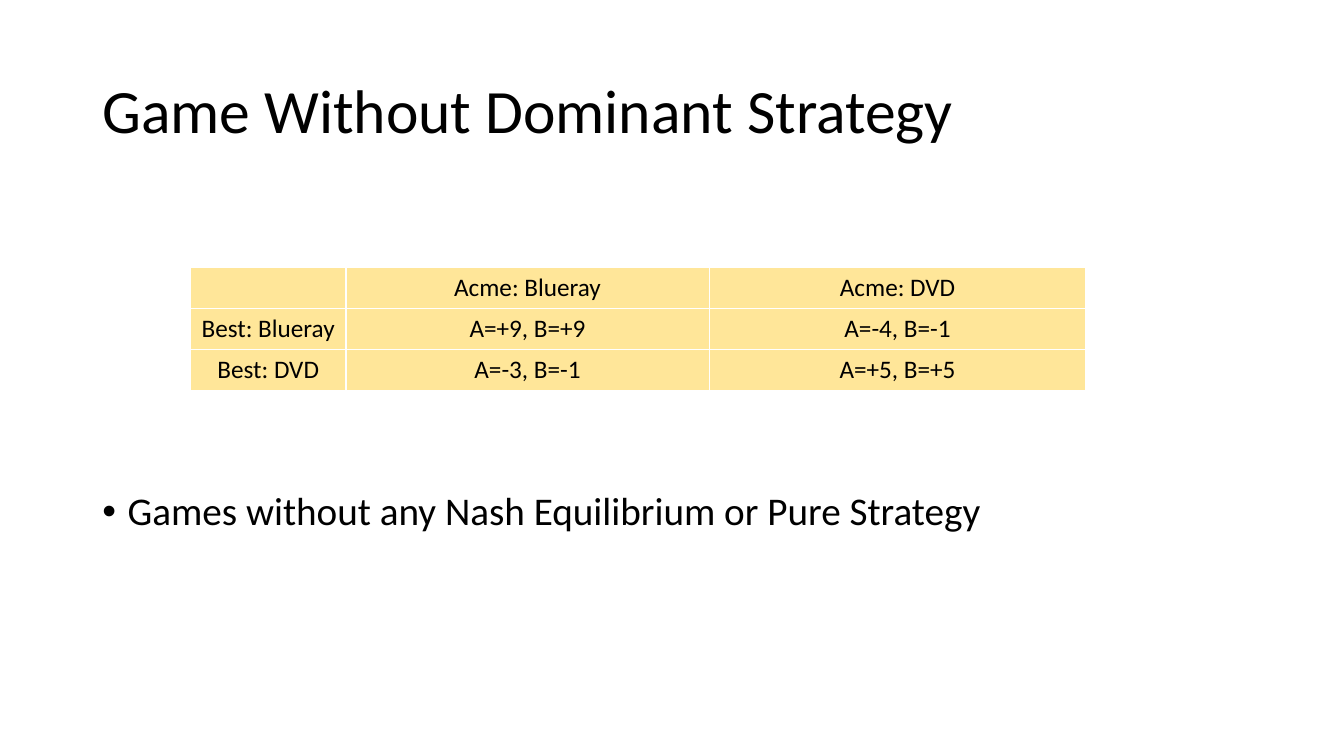
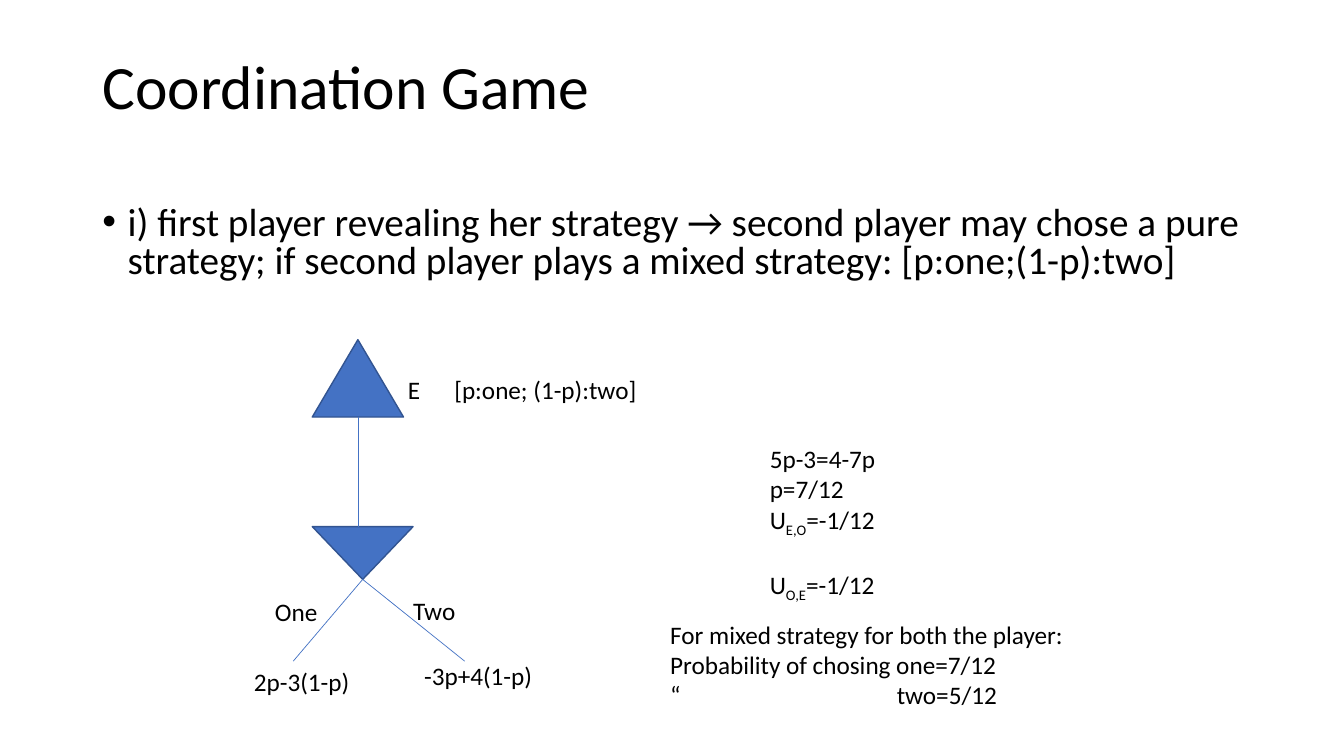
from dataclasses import dataclass

import pptx
import pptx.util
import pptx.dml.color
import pptx.enum.shapes
import pptx.enum.text
import pptx.oxml.ns
import lxml.etree

Cm = pptx.util.Cm
Pt = pptx.util.Pt
RGBColor = pptx.dml.color.RGBColor
MSO_SHAPE = pptx.enum.shapes.MSO_SHAPE
PP_ALIGN = pptx.enum.text.PP_ALIGN
MSO_ANCHOR = pptx.enum.text.MSO_ANCHOR
qn = pptx.oxml.ns.qn

# Shared style
BLACK = RGBColor(0x00, 0x00, 0x00)
BLUE = RGBColor(0x44, 0x72, 0xC4)
DARK_BLUE = RGBColor(0x32, 0x54, 0x91)
SAND = RGBColor(0xFF, 0xE6, 0x99)
FONT = "Calibri"
LEFT, WIDTH = 2.33, 29.21
TITLE_SIZE, BODY_SIZE, LABEL_SIZE = 44, 28, 18


@dataclass
class Para:
    runs: list[str]  # every second run is a subscript
    before: float = 0
    tab: float = 0


@dataclass
class Label:
    x: float
    y: float
    w: float
    h: float
    paras: list[Para]


@dataclass
class Node:
    x: float
    y: float
    w: float
    h: float
    rotation: int = 0

    @property
    def mid(self) -> float:
        return self.x + self.w / 2

    @property
    def bottom(self) -> float:
        return self.y + self.h


# Text helpers
def add_run(p, text: str, size: float, subscript: bool = False) -> None:
    r = p.add_run()
    r.text = text
    for name, value in {"name": FONT, "size": Pt(size), "bold": False}.items():
        setattr(r.font, name, value)
    r.font.color.rgb = BLACK
    if subscript:
        r.font._element.set("baseline", "-25000")


def add_box(s, x: float, y: float, w: float, h: float):
    sp = s.shapes.add_textbox(Cm(x), Cm(y), Cm(w), Cm(h))
    sp.text_frame.word_wrap = True
    return sp.text_frame


def add_title(s, text: str, y: float) -> None:
    tf = add_box(s, LEFT, y, WIDTH, 3.68)
    tf.vertical_anchor = MSO_ANCHOR.MIDDLE
    p = tf.paragraphs[0]
    p.line_spacing = 0.9
    add_run(p, text, TITLE_SIZE)


def add_bullet(s, text: str, y: float, h: float, spacing: float) -> None:
    p = add_box(s, LEFT, y, WIDTH, h).paragraphs[0]
    p.line_spacing = spacing
    add_run(p, text, BODY_SIZE)
    ppr = p._p.get_or_add_pPr()
    ppr.set("marL", str(Cm(0.64)))
    ppr.set("indent", str(-Cm(0.64)))
    lxml.etree.SubElement(ppr, qn("a:buFont")).set("typeface", "Arial")
    lxml.etree.SubElement(ppr, qn("a:buChar")).set("char", "•")


def add_label(s, label: Label) -> None:
    tf = add_box(s, label.x, label.y, label.w, label.h)
    tf.margin_right = 0
    for i, para in enumerate(label.paras):
        p = tf.add_paragraph() if i else tf.paragraphs[0]
        p.space_before = Pt(para.before)
        for j, text in enumerate(para.runs):
            add_run(p, text, LABEL_SIZE, subscript=j % 2 == 1)
        if para.tab:
            tabs = lxml.etree.SubElement(p._p.get_or_add_pPr(), qn("a:tabLst"))
            tab = lxml.etree.SubElement(tabs, qn("a:tab"))
            tab.set("pos", str(Cm(para.tab)))
            tab.set("algn", "l")


# Drawing helpers
def add_node(s, node: Node) -> None:
    sp = s.shapes.add_shape(MSO_SHAPE.ISOSCELES_TRIANGLE, Cm(node.x), Cm(node.y),
                            Cm(node.w), Cm(node.h))
    sp.shadow.inherit = False
    sp.rotation = node.rotation
    sp.fill.solid()
    sp.fill.fore_color.rgb = BLUE
    sp.line.color.rgb = DARK_BLUE
    sp.line.width = Pt(1)


def add_branch(s, x1: float, y1: float, x2: float, y2: float) -> None:
    line = s.shapes.add_connector(pptx.enum.shapes.MSO_CONNECTOR.STRAIGHT,
                                  Cm(x1), Cm(y1), Cm(x2), Cm(y2))
    line.line.color.rgb = BLUE
    line.line.width = Pt(0.5)
    lxml.etree.SubElement(line._element.spPr, qn("a:effectLst"))


def add_payoffs(s, rows: list[list[str]], widths: list[float]) -> None:
    row_h = 1.03
    table = s.shapes.add_table(len(rows), len(widths), Cm(4.8), Cm(6.75),
                               Cm(sum(widths)), Cm(row_h * len(rows))).table
    for name in ("first_row", "horz_banding"):
        setattr(table, name, False)
    for col, w in zip(table.columns, widths):
        col.width = Cm(w)
    for i, row in enumerate(rows):
        table.rows[i].height = Cm(row_h)
        for j, text in enumerate(row):
            cell = table.cell(i, j)
            cell.margin_left = cell.margin_right = Cm(0.2)
            cell.fill.solid()
            cell.fill.fore_color.rgb = SAND
            p = cell.text_frame.paragraphs[0]
            p.alignment = PP_ALIGN.CENTER
            if text:
                add_run(p, text, LABEL_SIZE)


# Slides
def build_dominant(s) -> None:
    add_title(s, "Game Without Dominant Strategy", 1.01)
    add_bullet(s, "Games without any Nash Equilibrium or Pure Strategy", 12.27, 1.45, 0.9)
    add_payoffs(s, [["", "Acme: Blueray", "Acme: DVD"],
                    ["Best: Blueray", "A=+9, B=+9", "A=-4, B=-1"],
                    ["Best: DVD", "A=-3, B=-1", "A=+5, B=+5"]], [3.92, 9.15, 9.5])


def build_coordination(s) -> None:
    add_title(s, "Coordination Game", 0.41)
    add_bullet(s, "i) first player revealing her strategy → second player may chose a pure "
                  "strategy; if second player plays a mixed strategy: [p:one;(1-p):two]",
               5.08, 3.4, 0.8)

    # Game tree
    first = Node(7.87, 8.56, 2.3, 1.95)
    second = Node(7.87, 13.27, 2.54, 1.33, 180)
    add_node(s, first)
    add_node(s, second)
    add_branch(s, first.mid, first.bottom, first.mid, second.y)
    for leaf_x in (7.39, 11.71):
        add_branch(s, second.mid, second.bottom, leaf_x, 16.66)

    # Moves, payoffs and solution
    for label in (
        Label(10.03, 9.3, 6.4, 1.02, [Para(["E\t[p:one; (1-p):two]"], tab=1.17)]),
        Label(6.68, 14.91, 1.6, 1.02, [Para(["One"])]),
        Label(10.16, 14.88, 1.6, 1.02, [Para(["Two"])]),
        Label(6.15, 16.66, 2.95, 1.02, [Para(["2p-3(1-p)"])]),
        Label(10.44, 16.51, 3.28, 1.02, [Para(["-3p+4(1-p)"])]),
        Label(19.15, 11.05, 3.28, 4.11, [
            Para(["5p-3=4-7p"]),
            Para(["p=7/12"]),
            Para(["U", "E,O", "=-1/12"]),
            Para(["U", "O,E", "=-1/12"], before=22)]),
        Label(16.64, 15.47, 10.54, 2.57, [
            Para(["For mixed strategy for both the player:"]),
            Para(["Probability of chosing one=7/12"]),
            Para(["“\ttwo=5/12"], tab=5.71)]),
    ):
        add_label(s, label)


def main() -> None:
    prs = pptx.Presentation()
    prs.slide_width, prs.slide_height = Cm(33.87), Cm(19.05)
    for build in (build_dominant, build_coordination):
        build(prs.slides.add_slide(prs.slide_layouts[6]))
    prs.save("out.pptx")


if __name__ == "__main__":
    main()
